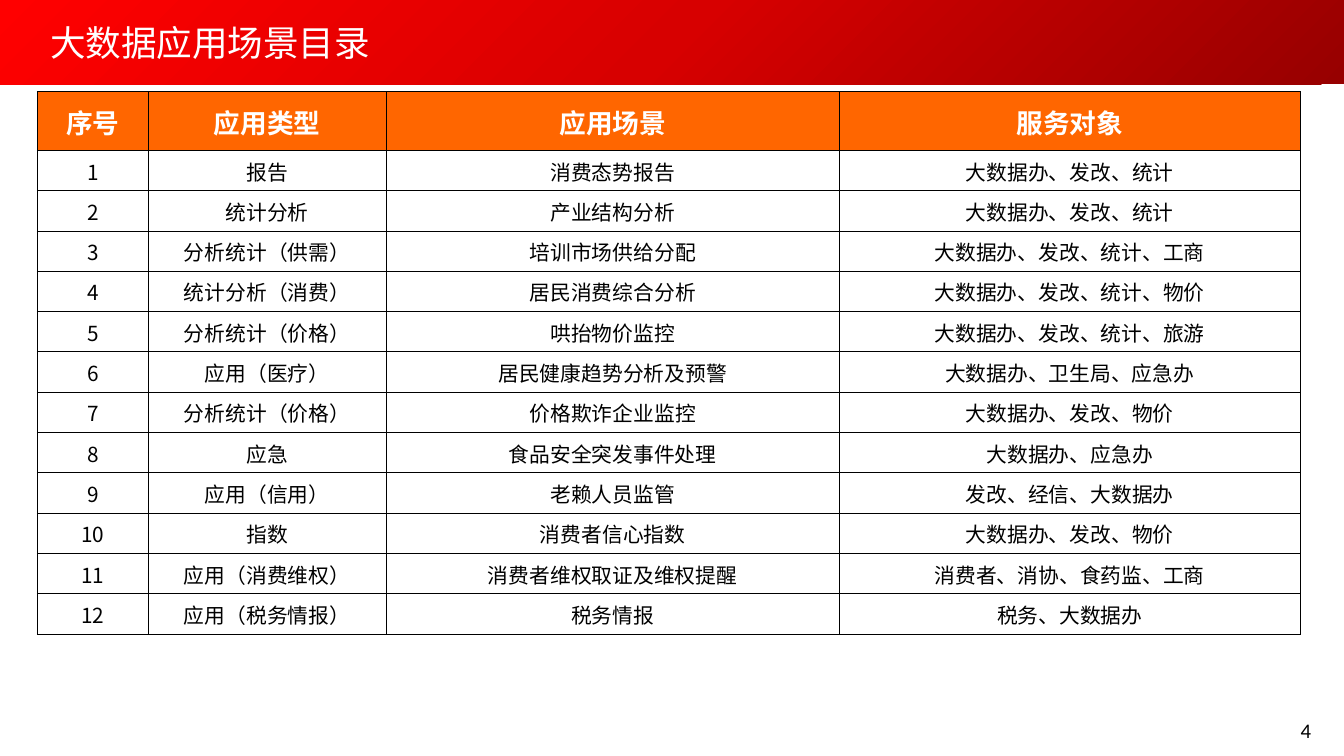
from copy import deepcopy

from lxml.etree import SubElement
from pptx import Presentation
from pptx.dml.color import RGBColor
from pptx.enum.shapes import MSO_SHAPE
from pptx.enum.text import MSO_ANCHOR, PP_ALIGN
from pptx.oxml.ns import qn
from pptx.util import Inches, Pt

TITLE = "大数据应用场景目录"
PAGE = "4"
HEADERS = ("序号", "应用类型", "应用场景", "服务对象")
SCENARIOS = [
    ("报告", "消费态势报告", "大数据办、发改、统计"),
    ("统计分析", "产业结构分析", "大数据办、发改、统计"),
    ("分析统计（供需）", "培训市场供给分配", "大数据办、发改、统计、工商"),
    ("统计分析（消费）", "居民消费综合分析", "大数据办、发改、统计、物价"),
    ("分析统计（价格）", "哄抬物价监控", "大数据办、发改、统计、旅游"),
    ("应用（医疗）", "居民健康趋势分析及预警", "大数据办、卫生局、应急办"),
    ("分析统计（价格）", "价格欺诈企业监控", "大数据办、发改、物价"),
    ("应急", "食品安全突发事件处理", "大数据办、应急办"),
    ("应用（信用）", "老赖人员监管", "发改、经信、大数据办"),
    ("指数", "消费者信心指数", "大数据办、发改、物价"),
    ("应用（消费维权）", "消费者维权取证及维权提醒", "消费者、消协、食药监、工商"),
    ("应用（税务情报）", "税务情报", "税务、大数据办"),
]
COLORS = {
    "dark": "970000",
    "mid": "D70000",
    "red": "FF0000",
    "header": "FF6600",
    "white": "FFFFFF",
    "black": "000000",
}
CJK = "Noto Sans CJK SC"
SLIDE_W, SLIDE_H = 12.6, 7.09
TABLE_X, TABLE_Y, TABLE_H, HEADER_H = 0.35, 0.86, 5.09, 0.55
COL_WIDTHS = (1.04, 2.23, 4.25, 4.32)


def rgb(name):
    return RGBColor.from_string(COLORS[name])


def style(p, size, color, align, bold=False, font=CJK):
    p.alignment = align
    p.font.size = Pt(size)
    p.font.bold = bold
    p.font.color.rgb = rgb(color)
    p.font.name = font
    props = p._p.get_or_add_pPr().find(qn("a:defRPr"))
    SubElement(props, qn("a:ea"), typeface=font)


def add_borders(cell):
    props = cell._tc.get_or_add_tcPr()
    for side in ("lnL", "lnR", "lnT", "lnB"):
        ln = SubElement(props, qn(f"a:{side}"), w=str(Pt(0.5)))
        fill = SubElement(ln, qn("a:solidFill"))
        SubElement(fill, qn("a:srgbClr"), val=COLORS["black"])


def add_band(s):
    band = s.shapes.add_shape(MSO_SHAPE.RECTANGLE, 0, 0, Inches(SLIDE_W), Inches(0.79))
    band.shadow.inherit = False
    band.line.fill.background()
    band.fill.gradient()
    band.fill.gradient_angle = 135
    first = band.element.spPr.find(".//" + qn("a:gs"))
    first.addnext(deepcopy(first))
    stops = zip(band.fill.gradient_stops, ("dark", "mid", "red"), (0, 0.5, 1))
    for stop, color, position in stops:
        stop.color.rgb = rgb(color)
        stop.position = position
    s.shapes.title.element.addprevious(band.element)


def add_title(s):
    title = s.shapes.title
    title.left, title.top = Inches(0.36), Inches(0.08)
    title.width, title.height = Inches(9.57), Inches(0.64)
    tf = title.text_frame
    tf.text = TITLE
    tf.vertical_anchor = MSO_ANCHOR.MIDDLE
    tf.margin_left = tf.margin_right = Inches(0.11)
    tf.margin_top = tf.margin_bottom = Inches(0.06)
    style(tf.paragraphs[0], 24, "white", PP_ALIGN.LEFT)


def add_scenarios(s):
    rows = [HEADERS] + [(str(n), *row) for n, row in enumerate(SCENARIOS, 1)]
    table = s.shapes.add_table(
        len(rows), len(HEADERS), Inches(TABLE_X), Inches(TABLE_Y),
        Inches(sum(COL_WIDTHS)), Inches(TABLE_H),
    ).table
    for column, width in zip(table.columns, COL_WIDTHS):
        column.width = Inches(width)
    row_h = (TABLE_H - HEADER_H) / len(SCENARIOS)
    for i, row in enumerate(rows):
        header = i == 0
        table.rows[i].height = Inches(HEADER_H if header else row_h)
        for j, text in enumerate(row):
            cell = table.cell(i, j)
            cell.text = text
            cell.vertical_anchor = MSO_ANCHOR.MIDDLE
            cell.margin_left = cell.margin_right = cell.margin_top = Inches(0.01)
            cell.margin_bottom = 0
            add_borders(cell)
            cell.fill.solid()
            cell.fill.fore_color.rgb = rgb("header" if header else "white")
            style(
                cell.text_frame.paragraphs[0], 18 if header else 14,
                "white" if header else "black", PP_ALIGN.CENTER, bold=header,
            )


def add_page_number(s):
    box = s.shapes.add_textbox(Inches(9.45), Inches(6.68), Inches(2.94), Inches(0.38))
    tf = box.text_frame
    tf.word_wrap = True
    tf.text = PAGE
    style(tf.paragraphs[0], 14, "black", PP_ALIGN.RIGHT, font="Calibri")


def main():
    prs = Presentation()
    prs.slide_width, prs.slide_height = Inches(SLIDE_W), Inches(SLIDE_H)
    s = prs.slides.add_slide(prs.slide_layouts[5])
    add_band(s)
    add_title(s)
    add_scenarios(s)
    add_page_number(s)
    prs.save("out.pptx")


if __name__ == "__main__":
    main()
